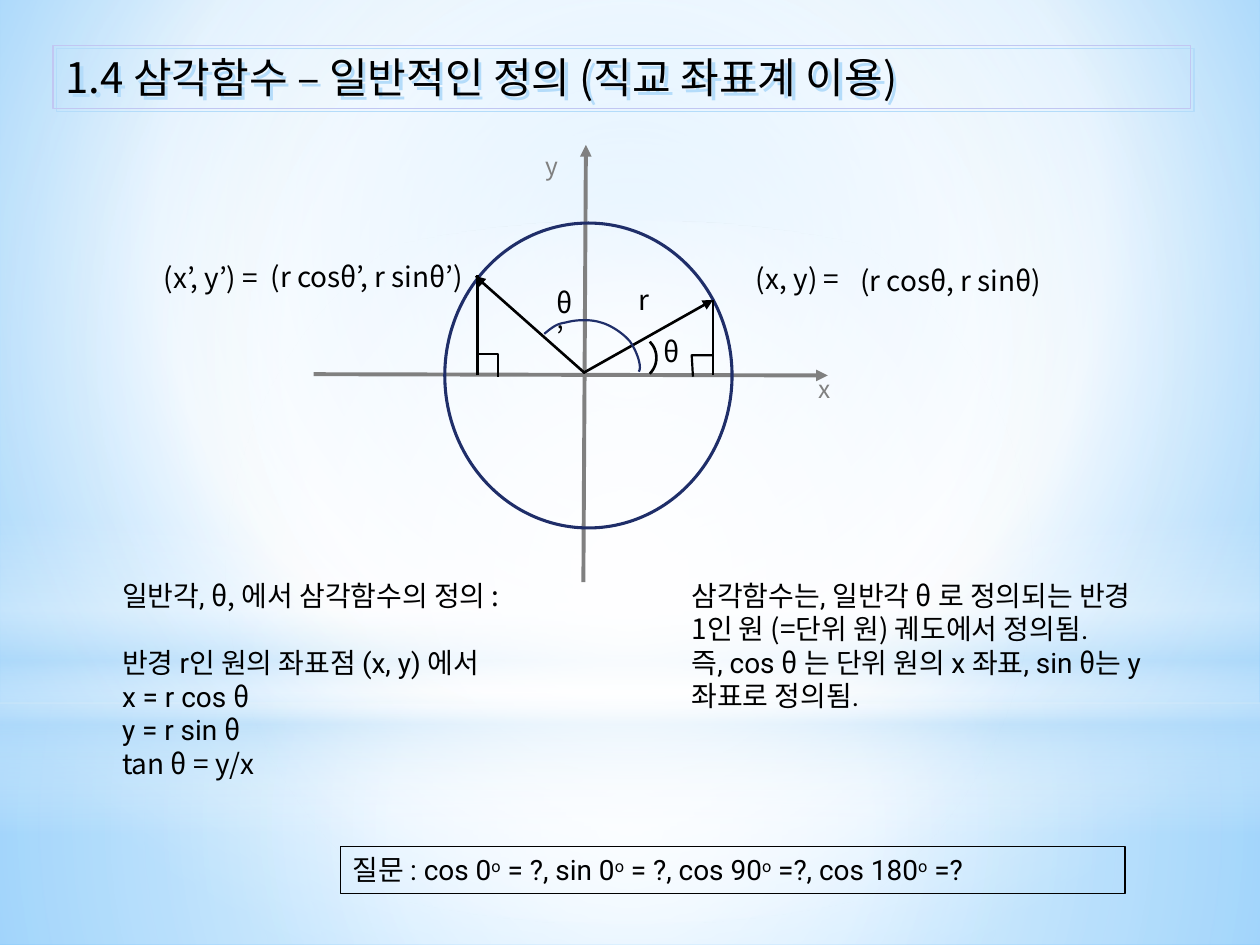
from lxml.etree import SubElement
from pptx import Presentation
from pptx.dml.color import RGBColor
from pptx.enum.shapes import MSO_CONNECTOR, MSO_SHAPE
from pptx.enum.text import MSO_ANCHOR, MSO_AUTO_SIZE, PP_ALIGN
from pptx.oxml import parse_xml
from pptx.oxml.ns import nsdecls, qn
from pptx.util import Inches, Pt

SANS, ROBOTO = "Noto Sans CJK KR", "Roboto"
BLACK, GRAY, NAVY = "000000", "808080", "1F2E69"


def color(value):
    return RGBColor.from_string(value)


def set_attrs(obj, values):
    for name, value in values.items():
        setattr(obj, name, value)


def box(*values):
    return [Inches(v) for v in values]


def set_gradient(props, stops, to=None, angle=0):
    gs = "".join(
        f'<a:gs pos="{pos * 1000}"><a:srgbClr val="{rgb}">'
        f'<a:alpha val="{alpha * 1000}"/></a:srgbClr></a:gs>'
        for pos, rgb, alpha in stops)
    if to:
        sides = " ".join(f'{k}="{v * 1000}"' for k, v in zip("ltrb", to))
        kind = f'<a:path path="circle"><a:fillToRect {sides}/></a:path>'
    else:
        kind = f'<a:lin ang="{angle * 60000}" scaled="0"/>'
    grad = parse_xml(f'<a:gradFill {nsdecls("a")} rotWithShape="1">'
                     f'<a:gsLst>{gs}</a:gsLst>{kind}</a:gradFill>')
    props.replace(props.find(qn("a:solidFill")), grad)


def set_line(line, rgb, width):
    line.color.rgb = color(rgb)
    line.width = Pt(width)


def add_panel(s, shape, at, stops, **direction):
    sp = s.shapes.add_shape(shape, *box(*at))
    sp.shadow.inherit = False
    sp.line.fill.background()
    sp.fill.solid()
    set_gradient(sp._element.spPr, stops, **direction)


def add_outline(s, shape, at, rgb, width, rotation=0):
    sp = s.shapes.add_shape(shape, *box(*at))
    sp.shadow.inherit = False
    sp.fill.background()
    sp.rotation = rotation
    set_line(sp.line, rgb, width)


def add_line(s, start, end, rgb=BLACK, width=1.5, arrow=False):
    c = s.shapes.add_connector(MSO_CONNECTOR.STRAIGHT, *box(*start, *end))
    set_line(c.line, rgb, width)
    if arrow:
        SubElement(c.line._get_or_add_ln(), qn("a:tailEnd"), type="triangle")
    SubElement(c._element.spPr, qn("a:effectLst"))


def add_path(s, points, rgb):
    fb = s.shapes.build_freeform(*box(*points[0]), scale=1.0)
    fb.add_line_segments([box(*pt) for pt in points[1:]], close=False)
    sp = fb.convert_to_shape()
    sp.shadow.inherit = False
    sp.fill.background()
    set_line(sp.line, rgb, 1.25)


def bezier_points(knots, steps=10):
    points = [knots[0]]
    for i in range(0, len(knots) - 1, 3):
        for n in range(1, steps + 1):
            t = n / steps
            weights = ((1 - t) ** 3, 3 * t * (1 - t) ** 2, 3 * t * t * (1 - t), t ** 3)
            points.append(tuple(sum(w * k[axis] for w, k in zip(weights, knots[i:i + 4]))
                                for axis in (0, 1)))
    return points


def add_run(p, text, font=SANS, size=16, rgb=BLACK, raised=False):
    r = p.add_run()
    r.text = text
    set_attrs(r.font, {"name": font, "size": Pt(size), "bold": False})
    r.font.color.rgb = color(rgb)
    rPr = r.font._element
    SubElement(rPr, qn("a:ea"), typeface=SANS)
    if raised:
        rPr.set("baseline", "30000")


def add_text(s, at, paragraphs, wrap=True, align=PP_ALIGN.LEFT, **style):
    sp = s.shapes.add_textbox(*box(*at))
    tf = sp.text_frame
    set_attrs(tf, {"word_wrap": wrap, "auto_size": MSO_AUTO_SIZE.SHAPE_TO_FIT_TEXT})
    for i, runs in enumerate(paragraphs):
        p = tf.add_paragraph() if i else tf.paragraphs[0]
        p.alignment = align
        for text, *options in runs:
            add_run(p, text, *options, **style)
    return sp


def add_label(s, at, text, **style):
    add_text(s, at, [[(text,)]], **style)


def add_background(s):
    s.background.fill.solid()
    set_gradient(s.element.find(".//" + qn("p:bgPr")),
                 [(0, "9ED5FF", 100), (60, "FFFFFF", 100), (100, "5BB9FF", 100)],
                 to=(20, 10, 20, 60))
    center = (50, 50, 50, 50)
    add_panel(s, MSO_SHAPE.RECTANGLE, (0, 5.58, 10, 1.92),
              [(0, "FFFFFF", 91), (37, "FFFFFF", 76), (100, "B4DCFA", 79)], to=center)
    add_panel(s, MSO_SHAPE.RECTANGLE, (0, 0, 10, 5.58),
              [(0, "FFFFFF", 89), (48, "FFFFFF", 62), (100, "B4DCFA", 79)], to=center)
    add_panel(s, MSO_SHAPE.RECTANGLE, (0, 4.12, 10, 2.5),
              [(0, "FFFFFF", 0), (29, "FFFFFF", 30), (45, "B4DCFA", 40),
               (55, "FFFFFF", 26), (65, "B4DCFA", 60), (100, "FFFFFF", 0)], angle=90)
    add_panel(s, MSO_SHAPE.OVAL, (0, 1.75, 10, 5.58),
              [(0, "FFFFFF", 100), (56, "FFFFFF", 0)], to=center)


def format_title(s):
    title = s.shapes.title
    s.shapes._spTree.append(title._element)
    set_attrs(title, dict(zip(("left", "top", "width", "height"),
                              box(0.42, 0.36, 9.03, 0.5))))
    set_line(title.line, "C1C7F2", 0.75)
    title.shadow.inherit = False
    title._element.spPr.find(qn("a:effectLst")).append(parse_xml(
        f'<a:outerShdw {nsdecls("a")} blurRad="0" dist="{Pt(2.8)}" dir="2700000" '
        'algn="tl" rotWithShape="0"><a:srgbClr val="B4DCFA"/></a:outerShdw>'))
    tf = title.text_frame
    set_attrs(tf, {"word_wrap": True, "auto_size": MSO_AUTO_SIZE.NONE,
                   "vertical_anchor": MSO_ANCHOR.MIDDLE})
    p = tf.paragraphs[0]
    p.alignment = PP_ALIGN.LEFT
    add_run(p, "1.4 삼각함수 – 일반적인 정의 (직교 좌표계 이용)", size=24)


def add_diagram(s):
    for start, end in (((2.49, 2.97), (6.57, 2.98)), ((4.63, 4.62), (4.65, 1.15))):
        add_line(s, start, end, GRAY, 2.25, arrow=True)
    add_line(s, (4.63, 2.96), (5.66, 2.38), arrow=True)
    add_outline(s, MSO_SHAPE.ARC, (4.85, 2.66, 0.36, 0.36), BLACK, 1.5, rotation=45)
    add_outline(s, MSO_SHAPE.OVAL, (3.53, 1.77, 2.28, 2.42), NAVY, 1.75)
    add_line(s, (5.66, 2.98), (5.66, 2.38))
    add_line(s, (4.64, 2.96), (3.77, 2.19), arrow=True)
    add_path(s, bezier_points([
        (4.32, 2.65), (4.37, 2.61), (4.41, 2.57), (4.49, 2.56), (4.56, 2.54),
        (4.68, 2.53), (4.77, 2.56), (4.85, 2.58), (4.95, 2.65), (5, 2.71),
        (5.05, 2.78), (5.1, 2.91), (5.07, 2.95)]), NAVY)
    add_line(s, (3.79, 2.98), (3.79, 2.18))
    add_path(s, [(3.8, 2.81), (3.95, 2.81), (3.95, 2.99)], BLACK)
    add_path(s, [(5.66, 2.82), (5.49, 2.82), (5.5, 2.99)], BLACK)


def add_labels(s):
    add_label(s, (4.97, 2.19, 0.28, 0.37), "r", wrap=False)
    add_label(s, (5.17, 2.61, 0.32, 0.37), "θ", wrap=False)
    add_label(s, (4.32, 2.22, 0.33, 0.37), "θ’")
    add_label(s, (4.23, 1.15, 0.3, 0.34), "y", wrap=False, size=14, rgb=GRAY)
    add_label(s, (6.4, 2.92, 0.29, 0.34), "x", wrap=False, size=14, rgb=GRAY)
    add_label(s, (5.82, 2.03, 1.02, 0.37), "(x, y) =", align=PP_ALIGN.CENTER)
    add_label(s, (6.73, 2.04, 1.82, 0.37), "(r cosθ, r sinθ)")
    add_label(s, (1.11, 2.02, 1.13, 0.37), "(x’, y’) =", align=PP_ALIGN.CENTER)
    add_label(s, (2.05, 2.01, 1.74, 0.37), "(r cosθ’, r sinθ’)")


def add_definitions(s):
    sp = add_text(s, (0.87, 4.54, 3.79, 1.72), [
        [("일반각, ", ROBOTO), ("θ, 에서 삼각함수의 정의 :",)],
        [("반경 r인 원의 좌표점 (x, y) 에서", ROBOTO)],
        [("x = r cos ", ROBOTO), ("θ",)],
        [("y = r sin ", ROBOTO), ("θ",)],
        [("tan θ = y/x",)]])
    sp.text_frame.paragraphs[1].space_before = Pt(19.4)
    add_text(s, (5.39, 4.54, 3.79, 1.45), [
        [("삼각함수는, ", ROBOTO),
         ("일반각 θ 로 정의되는 반경 1인 원 (=단위 원) 궤도에서",), (" 정의됨.", ROBOTO)],
        [("즉, cos ", ROBOTO), ("θ ",), ("는 단위 원의 x 좌표, sin ", ROBOTO),
         ("θ",), ("는 y 좌표로 정의됨.", ROBOTO)]])


def add_question(s):
    runs = [("질문 : cos 0", ROBOTO)]
    for text in (" = ?, sin 0", " = ?, cos 90", " =?, cos 180", " =?"):
        runs += [("o", ROBOTO, 16, BLACK, True), (text, ROBOTO)]
    sp = add_text(s, (2.7, 6.72, 6.23, 0.37), [runs])
    set_line(sp.line, BLACK, 0.75)


def main():
    prs = Presentation()
    set_attrs(prs, {"slide_width": Inches(10), "slide_height": Inches(7.5)})
    s = prs.slides.add_slide(prs.slide_layouts[5])
    add_background(s)
    format_title(s)
    add_diagram(s)
    add_labels(s)
    add_definitions(s)
    add_question(s)
    prs.save("out.pptx")


if __name__ == "__main__":
    main()
